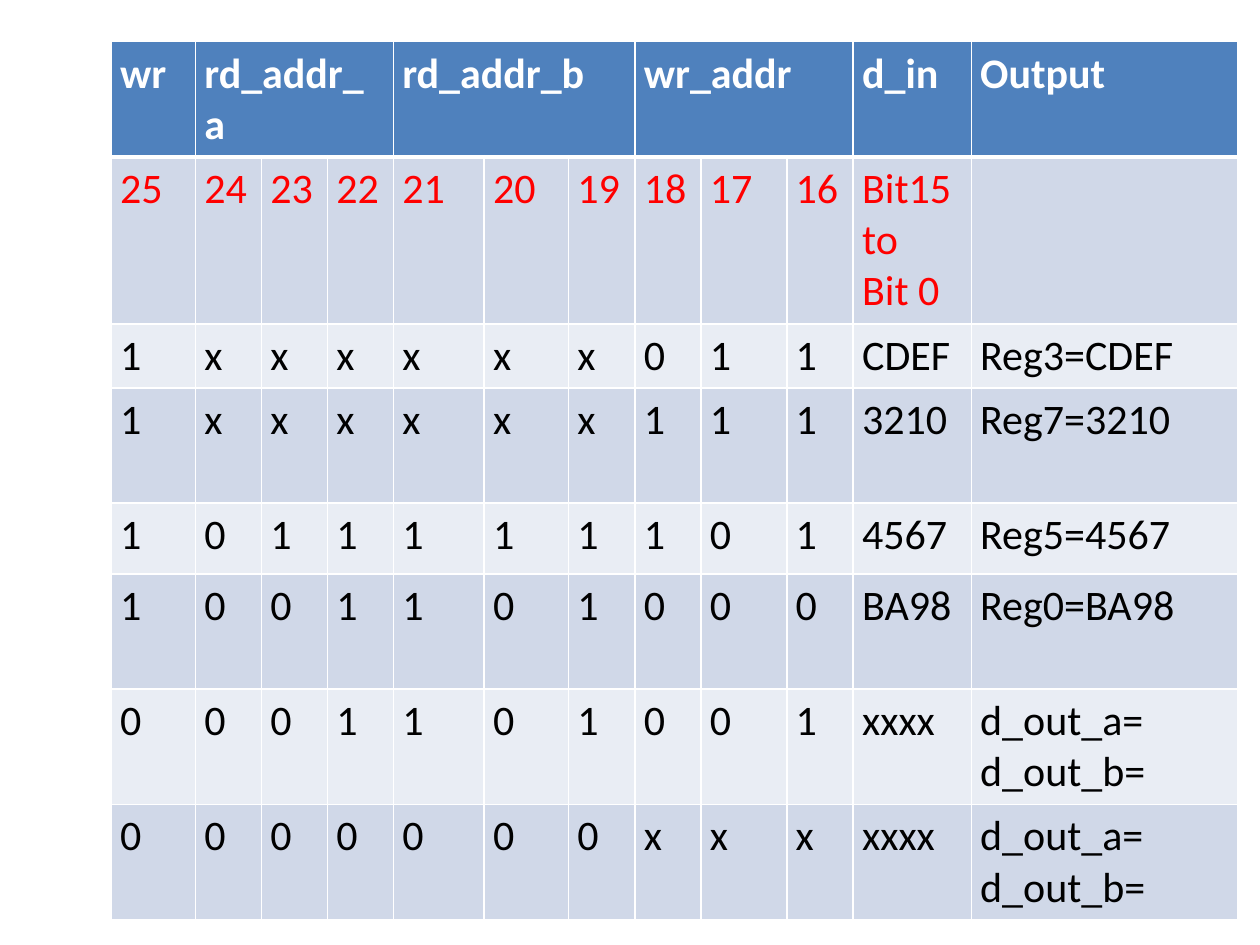
import pptx
import pptx.dml.color
import pptx.oxml
import pptx.oxml.ns
import pptx.util
from pptx.util import Cm

WHITE, BLACK, RED = "FFFFFF", "000000", "FF0000"
HEADER_BLUE, BAND_DARK, BAND_LIGHT = "4F81BD", "D0D8E8", "E9EDF4"


def color(hex_code):
    return pptx.dml.color.RGBColor.from_string(hex_code)


class SlideBuilder:
    font_name = "Calibri"
    font_size = pptx.util.Pt(24)

    def __init__(self, slide):
        self.slide = slide

    def border(self, cell, side, points):
        line = pptx.oxml.parse_xml(
            f'<a:{side} {pptx.oxml.ns.nsdecls("a")} w="{points * 12700}">'
            f'<a:solidFill><a:srgbClr val="{WHITE}"/></a:solidFill></a:{side}>'
        )
        cell._tc.get_or_add_tcPr().append(line)

    def cell(self, cell, text, fill, ink, bold, top, bottom):
        for side, points in (("lnL", 1), ("lnR", 1), ("lnT", top), ("lnB", bottom)):
            self.border(cell, side, points)
        cell.fill.solid()
        cell.fill.fore_color.rgb = color(fill)
        cell.margin_left = cell.margin_right = Cm(0.18)
        cell.margin_top = cell.margin_bottom = Cm(0.13)
        cell.text = text
        for paragraph in cell.text_frame.paragraphs:
            paragraph.font.name = self.font_name
            paragraph.font.size = self.font_size
            paragraph.font.bold = bold
            paragraph.font.color.rgb = color(ink)

    def table(self, left, top, widths, heights, rows, header_spans):
        table = self.slide.shapes.add_table(
            len(rows), len(widths), Cm(left), Cm(top), Cm(sum(widths)), Cm(sum(heights))
        ).table
        table.horz_banding = False
        for column, width in zip(table.columns, widths):
            column.width = Cm(width)
        for row, height in zip(table.rows, heights):
            row.height = Cm(height)
        for r, texts in enumerate(rows):
            if r == 0:
                fill, ink = HEADER_BLUE, WHITE
            else:
                fill = BAND_DARK if r % 2 else BAND_LIGHT
                ink = RED if r == 1 else BLACK
            for c, text in enumerate(texts):
                self.cell(table.cell(r, c), text, fill, ink, bold=r == 0,
                          top=3 if r == 1 else 1, bottom=3 if r == 0 else 1)
        for first, last in header_spans:
            table.cell(0, first).merge(table.cell(0, last))


def main():
    deck = pptx.Presentation()
    deck.slide_width, deck.slide_height = Cm(25.4), Cm(19.05)
    builder = SlideBuilder(deck.slides.add_slide(deck.slide_layouts[6]))

    header = ["wr", "rd_addr_a", "", "", "rd_addr_b", "", "", "wr_addr", "", "", "d_in", "Output"]
    bit_numbers = [str(bit) for bit in range(25, 15, -1)] + ["Bit15 to\nBit 0", ""]
    read_outputs = "d_out_a=\nd_out_b="
    operations = [
        ("1xxxxxx011", "CDEF", "Reg3=CDEF"),
        ("1xxxxxx111", "3210", "Reg7=3210"),
        ("1011111101", "4567", "Reg5=4567"),
        ("1001101000", "BA98", "Reg0=BA98"),
        ("0001101001", "xxxx", read_outputs),
        ("0000000xxx", "xxxx", read_outputs),
    ]
    instructions = [[*bits, data, output] for bits, data, output in operations]

    builder.table(
        left=2.24,
        top=0.84,
        widths=[1.7, 1.33, 1.33, 1.33, 1.83, 1.7, 1.34, 1.33, 1.73, 1.34, 2.38, 5.37],
        heights=[2.32, 3.32, 1.29, 2.32, 1.43, 2.32, 2.32, 2.32],
        rows=[header, bit_numbers, *instructions],
        header_spans=[(1, 3), (4, 6), (7, 9)],
    )
    deck.save("out.pptx")


if __name__ == "__main__":
    main()
